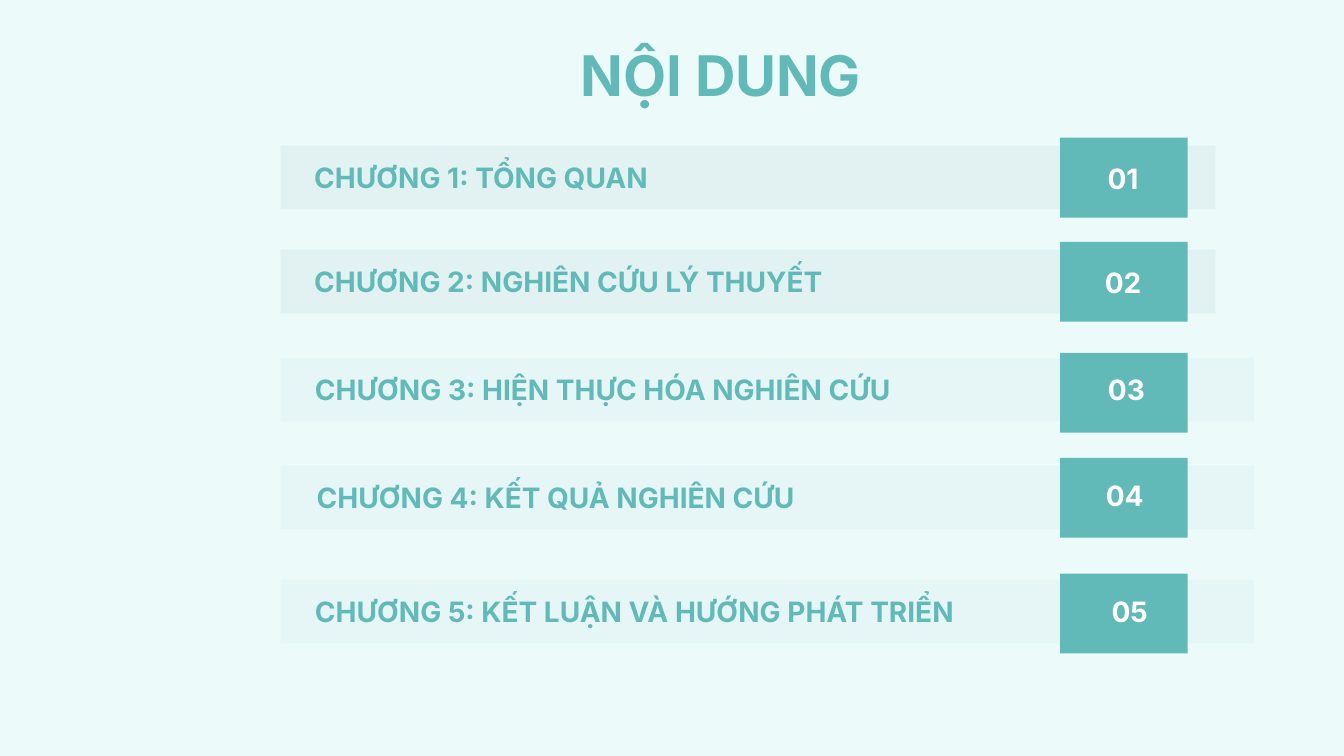
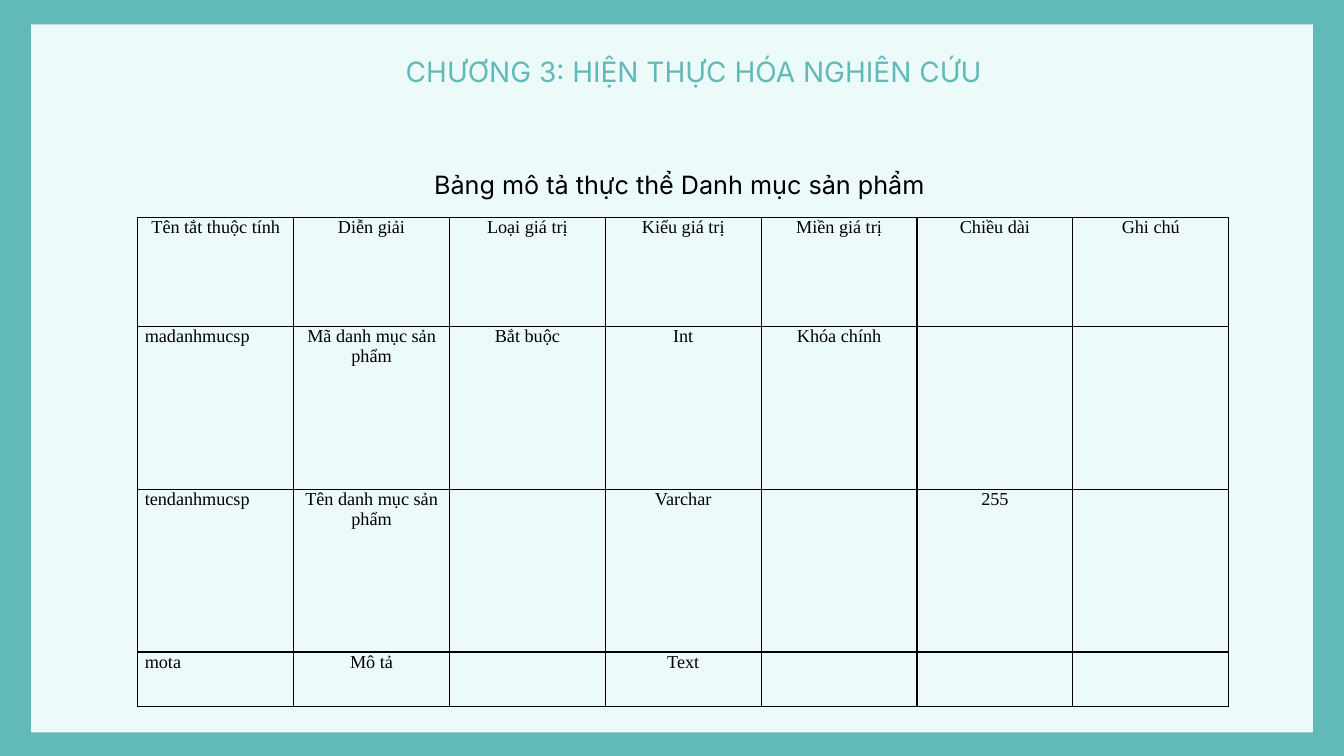
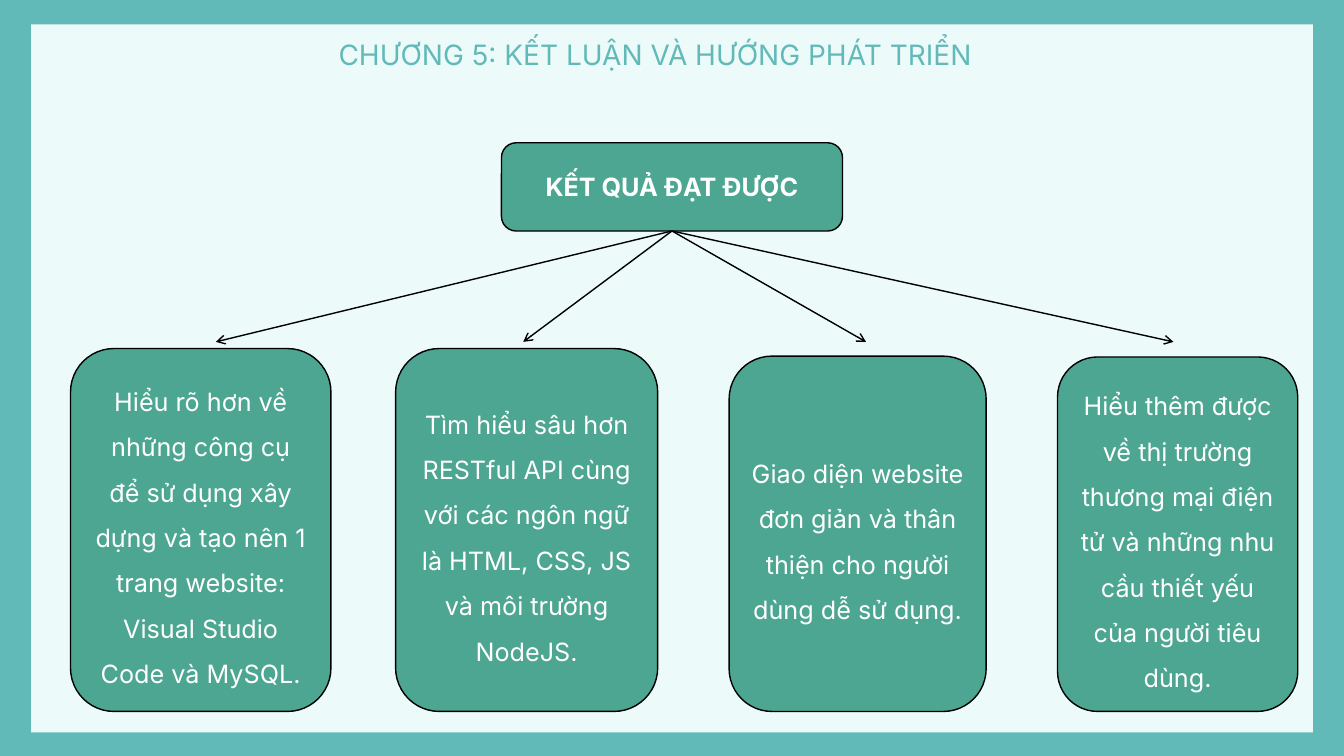
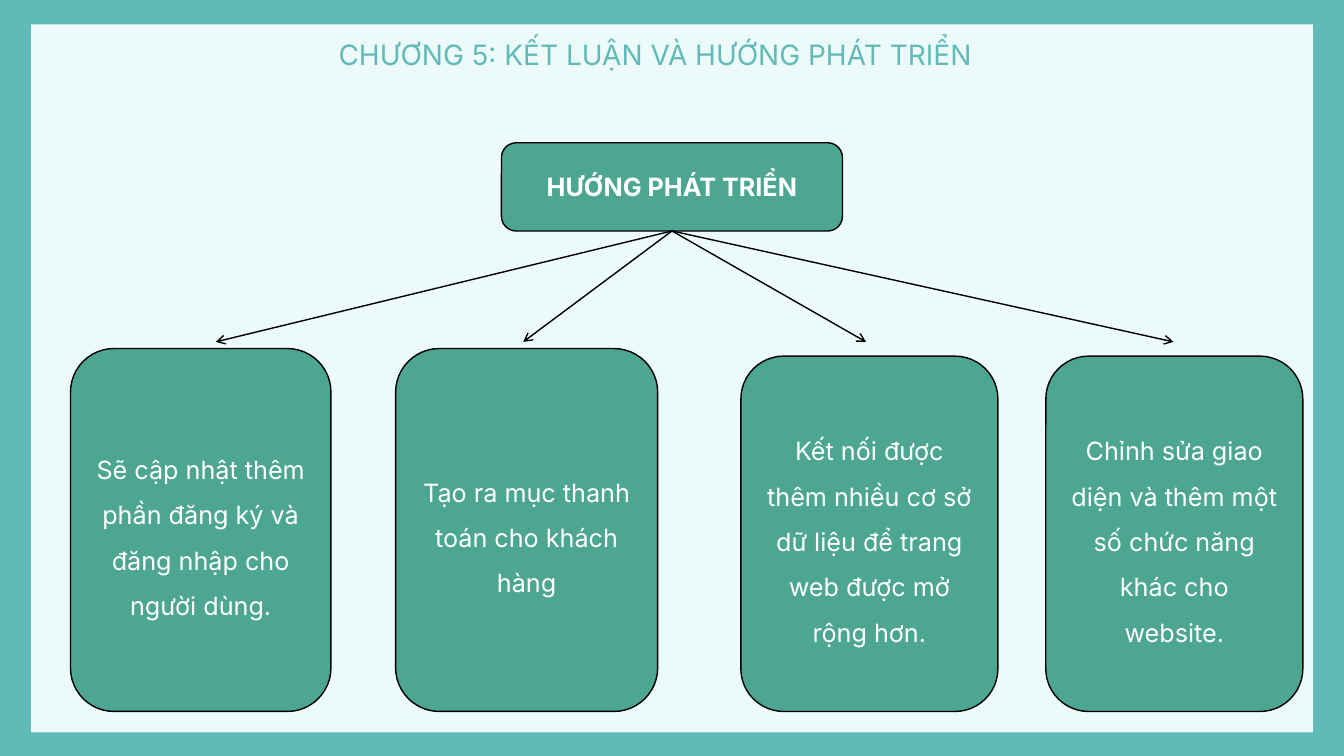
"""Build a four-slide thesis deck: contents, data table and two idea maps."""
from dataclasses import dataclass
from typing import NamedTuple, Optional

from pptx import Presentation
from pptx.dml.color import RGBColor as RGB
from pptx.enum.shapes import MSO_CONNECTOR as CXN, MSO_SHAPE as SHAPE
from pptx.enum.text import MSO_ANCHOR as ANCHOR, MSO_AUTO_SIZE as FIT, PP_ALIGN as AL
from pptx.oxml.ns import qn
from pptx.util import Emu, Inches, Pt

HEIGHT = Inches(7.5)
ROWS, COLS = 9, 16
CELL = HEIGHT / ROWS


@dataclass(frozen=True)
class Style:
    """Type settings of one run."""
    size: int
    color: str
    bold: bool = False
    font: str = "Inter"


@dataclass(frozen=True)
class Theme:
    """Colours and type styles of the deck."""
    teal: str = "62BAB8"
    mint: str = "EDFAFA"
    bar: str = "E0F1F1"
    green: str = "4CA691"
    line: str = "000000"
    border: str = "080000"
    line_width: int = 1
    heading: Style = Style(40, "62BAB8", True)
    chapter: Style = Style(20, "62BAB8")
    entry: Style = Style(20, "62BAB8", True)
    number: Style = Style(20, "FFFFFF", True)
    caption: Style = Style(18, "000000")
    root: Style = Style(18, "FFFFFF", True)
    card: Style = Style(18, "FFFFFF")
    cell: Style = Style(13, "000000", font="Times New Roman")


class Box(NamedTuple):
    """Left, top, width and height in grid cells."""
    x: float
    y: float
    w: float
    h: float


class Entry(NamedTuple):
    """One contents line with the places of its bar, badge and number."""
    text: str
    bar_y: float
    bar_w: float
    alpha: int
    inset: float
    badge_y: float
    number_x: float
    number_y: float


class Card(NamedTuple):
    """One leaf of an idea map."""
    text: str
    x: float
    y: float
    w: float


T = Theme()
SLIDE = Box(0, 0, COLS, ROWS)
PANEL = Box(0.37, 0.29, 15.26, 8.43)
ROOT = Box(5.97, 1.7, 4.06, 1.05)
CHAPTER_3 = Box(4.71, 0.59, 7.36, 0.53)
CHAPTER_5 = Box(3.91, 0.39, 8.36, 0.53)
TABLE = Box(1.64, 2.59, 12.99, 5.82)
CARD_BOTTOM = 8.47
TIP_Y = 4.07
TIPS = (2.57, 6.23, 10.31, 13.97)
NUMBER_W, NUMBER_H = 1.6, 0.53
SHORT, LONG = 11.13, 11.59
CHAPTER_5_TITLE = "CHƯƠNG 5: KẾT LUẬN VÀ HƯỚNG PHÁT TRIỂN"

ENTRIES = (
    Entry("CHƯƠNG 1: TỔNG QUAN", 1.73, SHORT, 80, 0.4, 1.64, 12.57, 1.86),
    Entry("CHƯƠNG 2: NGHIÊN CỨU LÝ THUYẾT", 2.97, SHORT, 80, 0.4, 2.88, 12.57, 3.1),
    Entry("CHƯƠNG 3: HIỆN THỰC HÓA NGHIÊN CỨU", 4.26, LONG, 50, 0.41, 4.2, 12.61, 4.38),
    Entry("CHƯƠNG 4: KẾT QUẢ NGHIÊN CỨU", 5.54, LONG, 50, 0.43, 5.45, 12.59, 5.64),
    Entry(CHAPTER_5_TITLE, 6.9, LONG, 50, 0.41, 6.83, 12.65, 7.02),
)
ATTRIBUTES = (
    ("Tên tắt thuộc tính", "Diễn giải", "Loại giá trị", "Kiểu giá trị",
     "Miền giá trị", "Chiều dài", "Ghi chú"),
    ("madanhmucsp", "Mã danh mục sản phẩm", "Bắt buộc", "Int", "Khóa chính", "", ""),
    ("tendanhmucsp", "Tên danh mục sản phẩm", "", "Varchar", "", "255", ""),
    ("mota", "Mô tả", "", "Text", "", "", ""),
)
ROW_SHARES = (2, 3, 3, 1)
RESULTS = (
    Card("Hiểu rõ hơn về những công cụ để sử dụng xây dựng và tạo nên 1 trang "
         "website: Visual Studio Code và MySQL.", 0.84, 4.15, 3.1),
    Card("Tìm hiểu sâu hơn RESTful API cùng với các ngôn ngữ là HTML, CSS, JS "
         "và môi trường NodeJS.", 4.71, 4.15, 3.12),
    Card("Giao diện website đơn giản và thân thiện cho người dùng dễ sử dụng.",
         8.68, 4.24, 3.06),
    Card("Hiểu thêm được về thị trường thương mại điện tử và những nhu cầu "
         "thiết yếu của người tiêu dùng.", 12.59, 4.25, 2.86),
)
PLANS = (
    Card("Sẽ cập nhật thêm phần đăng ký và đăng nhập cho người dùng.", 0.84, 4.15, 3.1),
    Card("Tạo ra mục thanh toán cho khách hàng", 4.71, 4.15, 3.12),
    Card("Kết nối được thêm nhiều cơ sở dữ liệu để trang web được mở rộng hơn.",
         8.82, 4.24, 3.06),
    Card("Chỉnh sửa giao diện và thêm một số chức năng khác cho website.",
         12.45, 4.24, 3.06),
)


def grid(n: float) -> Emu:
    """Turn grid cells into a length."""
    return Emu(round(n * CELL))


def place(box: Box) -> tuple:
    """Turn a grid box into left, top, width and height."""
    return tuple(grid(n) for n in box)


def write(tf, text: str, style: Style, align=AL.LEFT, spacing: Optional[float] = None) -> None:
    """Write one paragraph of one run."""
    p = tf.paragraphs[0]
    p.alignment = align
    if spacing:
        p.line_spacing = spacing
    r = p.add_run()
    r.text = text
    r.font.name = style.font
    r.font.size = Pt(style.size)
    r.font.bold = style.bold
    r.font.color.rgb = RGB.from_string(style.color)


def write_growing(sp, text: str, style: Style, align=AL.LEFT) -> None:
    """Write into a wrapped text shape that grows with its text."""
    tf = sp.text_frame
    tf.word_wrap = True
    tf.auto_size = FIT.SHAPE_TO_FIT_TEXT
    tf.vertical_anchor = ANCHOR.TOP
    write(tf, text, style, align)


def add_label(s, box: Box, text: str, style: Style, align=AL.LEFT) -> None:
    """Add a text box."""
    write_growing(s.shapes.add_textbox(*place(box)), text, style, align)


def add_block(s, box: Box, fill: str, kind=SHAPE.RECTANGLE, outlined: bool = False,
              alpha: int = 100):
    """Draw a filled shape without shadow."""
    sp = s.shapes.add_shape(kind, *place(box))
    sp.shadow.inherit = False
    sp.fill.solid()
    sp.fill.fore_color.rgb = RGB.from_string(fill)
    if alpha < 100:
        color = sp._element.spPr.find(qn("a:solidFill"))[0]
        color.append(color.makeelement(qn("a:alpha"), {"val": str(alpha * 1000)}))
    if outlined:
        sp.line.color.rgb = RGB.from_string(T.line)
        sp.line.width = Pt(T.line_width)
    else:
        sp.line.fill.background()
    return sp


def add_node(s, box: Box, text: str, style: Style, spacing: Optional[float] = None):
    """Draw a rounded node of an idea map."""
    sp = add_block(s, box, T.green, SHAPE.ROUNDED_RECTANGLE, outlined=True)
    write(sp.text_frame, text, style, AL.CENTER, spacing)
    return sp


def add_arrow(s, root, x: float) -> None:
    """Draw an arrow from the root node down to a card."""
    start = (grid(ROOT.x + ROOT.w / 2), grid(ROOT.y + ROOT.h))
    c = s.shapes.add_connector(CXN.STRAIGHT, *start, grid(x), grid(TIP_Y))
    c.begin_connect(root, 2)
    c.line.color.rgb = RGB.from_string(T.line)
    c.line.width = Pt(T.line_width)
    ln = c.line._get_or_add_ln()
    ln.append(ln.makeelement(qn("a:tailEnd"), {"type": "arrow"}))
    props = ln.getparent()
    props.append(props.makeelement(qn("a:effectLst"), {}))


def add_slide(prs, title: str, box: Box, style: Style, framed: bool = True):
    """Start a titled slide on a mint ground, framed in teal if asked."""
    s = prs.slides.add_slide(prs.slide_layouts[5])
    sp = s.shapes.title
    sp.left, sp.top, sp.width, sp.height = place(box)
    write_growing(sp, title, style)
    grounds = ((SLIDE, T.teal), (PANEL, T.mint)) if framed else ((SLIDE, T.mint),)
    for ground, fill in grounds:
        sp._element.addprevious(add_block(s, ground, fill)._element)
    return s


def add_entry(s, number: int, entry: Entry) -> None:
    """Draw one contents bar with its numbered badge."""
    bar = add_block(s, Box(3.34, entry.bar_y, entry.bar_w, 0.76), T.bar, alpha=entry.alpha)
    bar.text_frame.margin_left = grid(entry.inset)
    write(bar.text_frame, entry.text, T.entry)
    add_block(s, Box(12.62, entry.badge_y, 1.52, 0.95), T.teal)
    add_label(s, Box(entry.number_x, entry.number_y, NUMBER_W, NUMBER_H),
              f"{number:02}", T.number, AL.CENTER)


def format_cell(cell, text: str, align) -> None:
    """Give a table cell its text, margins and borders."""
    cell.margin_left = cell.margin_right = Inches(0.07)
    cell.margin_top = cell.margin_bottom = 0
    props = cell._tc.get_or_add_tcPr()
    for side in ("a:lnL", "a:lnR", "a:lnT", "a:lnB"):
        ln = props.makeelement(qn(side), {"w": str(Pt(T.line_width))})
        fill = ln.makeelement(qn("a:solidFill"), {})
        fill.append(fill.makeelement(qn("a:srgbClr"), {"val": T.border}))
        ln.append(fill)
        props.append(ln)
    cell.fill.background()
    if text:
        write(cell.text_frame, text, T.cell, align)


def add_attribute_table(s) -> None:
    """Draw the attribute table with equal columns."""
    count = len(ATTRIBUTES[0])
    table = s.shapes.add_table(len(ATTRIBUTES), count, *place(TABLE)).table
    table.first_row = table.horz_banding = False
    for column in table.columns:
        column.width = grid(TABLE.w / count)
    for i, (values, share) in enumerate(zip(ATTRIBUTES, ROW_SHARES)):
        table.rows[i].height = grid(TABLE.h * share / sum(ROW_SHARES))
        for j, text in enumerate(values):
            format_cell(table.cell(i, j), text, AL.LEFT if i and not j else AL.CENTER)


def build_contents(prs) -> None:
    """Build the contents slide."""
    s = add_slide(prs, "NỘI DUNG", Box(6.79, 0.42, 4.22, 0.92), T.heading, framed=False)
    for number, entry in enumerate(ENTRIES, 1):
        add_entry(s, number, entry)


def build_attributes(prs) -> None:
    """Build the table slide."""
    s = add_slide(prs, ENTRIES[2].text, CHAPTER_3, T.chapter)
    add_label(s, Box(5.05, 1.96, 6.4, 0.48), "Bảng mô tả thực thể Danh mục sản phẩm", T.caption)
    add_attribute_table(s)


def build_map(prs, topic: str, cards: tuple) -> None:
    """Build an idea map slide of one topic and its cards."""
    s = add_slide(prs, CHAPTER_5_TITLE, CHAPTER_5, T.chapter)
    root = add_node(s, ROOT, topic, T.root)
    for x in TIPS:
        add_arrow(s, root, x)
    for card in cards:
        box = Box(card.x, card.y, card.w, CARD_BOTTOM - card.y)
        add_node(s, box, card.text, T.card, spacing=1.5)


def main() -> None:
    """Build and save the deck."""
    prs = Presentation()
    prs.slide_width, prs.slide_height = grid(COLS), HEIGHT
    build_contents(prs)
    build_attributes(prs)
    build_map(prs, "KẾT QUẢ ĐẠT ĐƯỢC", RESULTS)
    build_map(prs, "HƯỚNG PHÁT TRIỂN", PLANS)
    prs.save("out.pptx")


if __name__ == "__main__":
    main()
